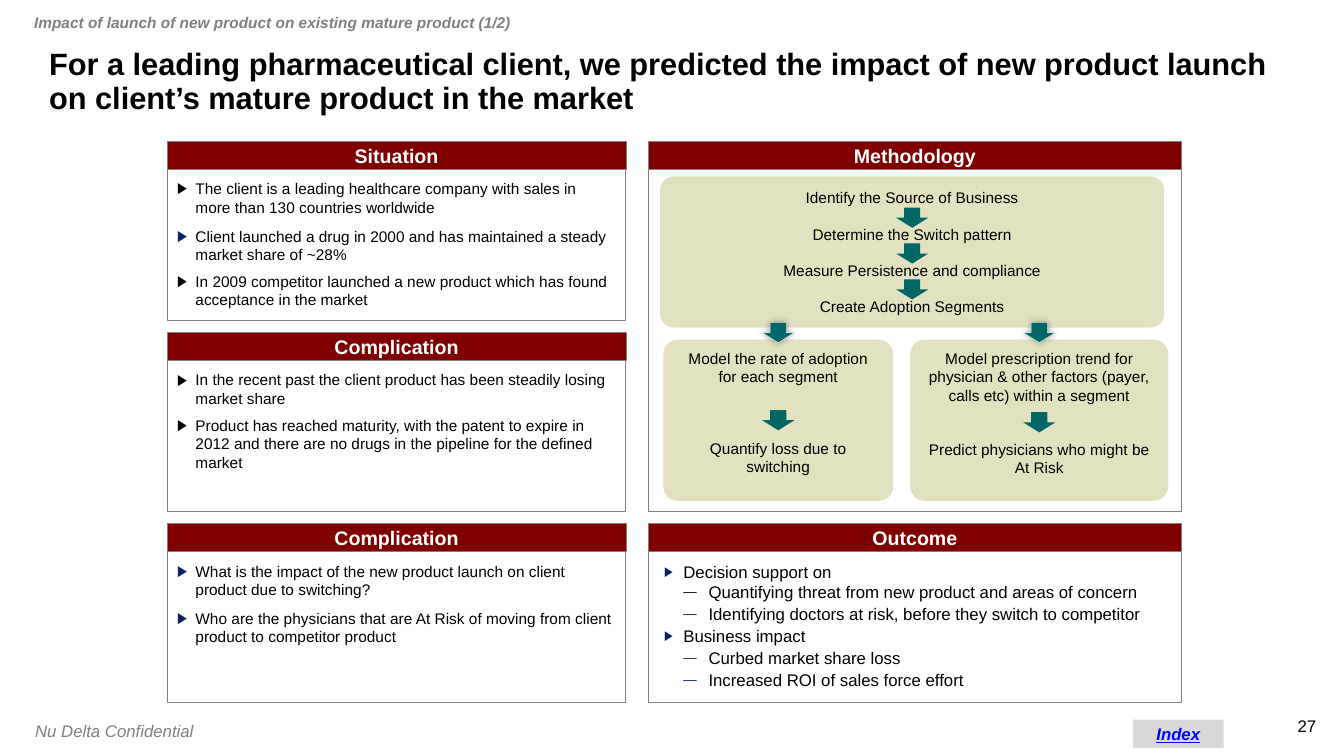
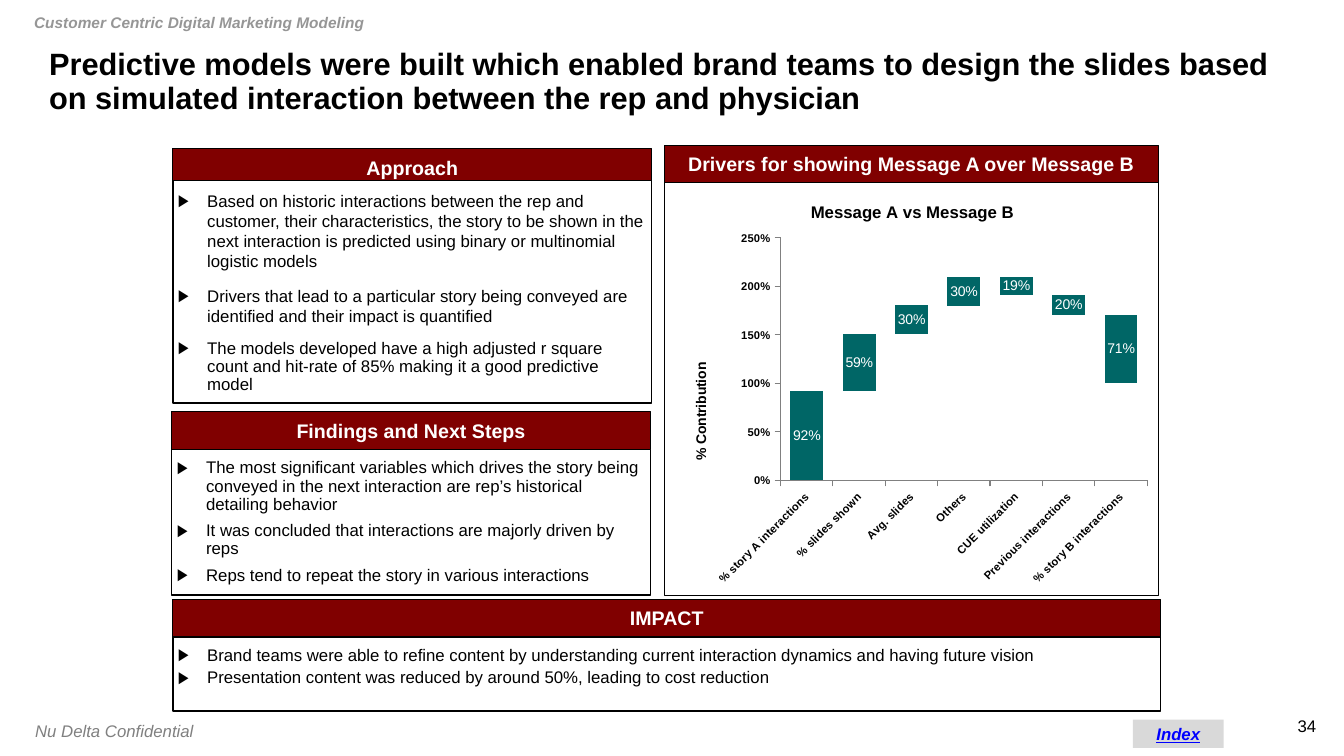
import dataclasses

import lxml.etree
import pptx
import pptx.chart.data
import pptx.dml.color
import pptx.enum.chart
import pptx.enum.shapes
import pptx.enum.text
import pptx.oxml.ns
import pptx.util

Pt = pptx.util.Pt
RGB = pptx.dml.color.RGBColor
KIND = pptx.enum.shapes.MSO_SHAPE
ALIGN = pptx.enum.text.PP_ALIGN
ANCHOR = pptx.enum.text.MSO_ANCHOR
CHART = pptx.enum.chart
qn = pptx.oxml.ns.qn

BLACK = RGB(0x00, 0x00, 0x00)
WHITE = RGB(0xFF, 0xFF, 0xFF)
GREY = RGB(0x80, 0x80, 0x80)
SILVER = RGB(0x96, 0x96, 0x96)
PALE = RGB(0xD9, 0xD9, 0xD9)
MAROON = RGB(0x80, 0x00, 0x00)
NAVY = RGB(0x0B, 0x1F, 0x65)
TEAL = RGB(0x00, 0x66, 0x66)
SAND = RGB(0xE2, 0xE1, 0xC0)
BLUE = RGB(0x00, 0x00, 0xFF)
FONT = "Arial"
LINE = 12.65


@dataclasses.dataclass(frozen=True)
class Look:
    size: float = 11
    left: float = 13
    hang: float = 13
    mark: str = "▶"
    tint: RGB = BLACK
    scale: int = 100
    before: float = 0
    after: float = 0
    pitch: float = 1.0


PLAIN = Look(after=6)
DEEP = dataclasses.replace(PLAIN, tint=NAVY, before=1.3)
TOP = Look(12, 18, 13.7, tint=NAVY, scale=80, before=1.4)
SUB = dataclasses.replace(TOP, left=36, hang=18, mark="—")
FIRST = dataclasses.replace(SUB, tint=BLACK, before=0)
WIDE = Look(12, 20.9, 20.9, before=10)
TIGHT = dataclasses.replace(WIDE, pitch=0.9)
NEAR = dataclasses.replace(TIGHT, before=6)
CLOSE = dataclasses.replace(TIGHT, before=3)


def style(font, size, tint, bold=False, slant=False):
    font.name = FONT
    font.size = Pt(size)
    font.color.rgb = tint
    font.bold = bold
    font.italic = slant


def setup(frame, pad, anchor, wrap):
    frame.margin_left, frame.margin_top, frame.margin_right, frame.margin_bottom = map(Pt, pad)
    frame.vertical_anchor = anchor
    frame.word_wrap = wrap


def line(frame, row, text, align=ALIGN.LEFT):
    para = frame.add_paragraph() if row else frame.paragraphs[0]
    para.text = text
    para.alignment = align
    return para


def shape(slide, kind, box, fill, edge=None, width=0.75):
    item = slide.shapes.add_shape(kind, *map(Pt, box))
    item.shadow.inherit = False
    item.fill.solid()
    item.fill.fore_color.rgb = fill
    if edge is None:
        item.line.fill.background()
    else:
        item.line.color.rgb = edge
        item.line.width = Pt(width)
    return item


def label(slide, box, text, size, tint, bold=False, slant=False, align=ALIGN.LEFT,
          pad=(7.2, 3.6, 7.2, 3.6), anchor=ANCHOR.TOP, wrap=True):
    frame = slide.shapes.add_textbox(*map(Pt, box)).text_frame
    setup(frame, pad, anchor, wrap)
    para = line(frame, 0, text, align)
    style(para.font, size, tint, bold, slant)
    return para


def bullets(frame, items):
    for row, (text, look) in enumerate(items):
        para = line(frame, row, text)
        props = para._p.get_or_add_pPr()
        props.set("marL", str(Pt(look.left)))
        props.set("indent", str(-Pt(look.hang)))
        tint = lxml.etree.SubElement(props, qn("a:buClr"))
        lxml.etree.SubElement(tint, qn("a:srgbClr"), val=str(look.tint))
        lxml.etree.SubElement(props, qn("a:buSzPct"), val=str(look.scale * 1000))
        lxml.etree.SubElement(props, qn("a:buFont"), typeface=FONT)
        lxml.etree.SubElement(props, qn("a:buChar"), char=look.mark)
        if row and look.before:
            para.space_before = Pt(look.before)
        if look.after:
            para.space_after = Pt(look.after)
        para.line_spacing = look.pitch
        style(para.font, look.size, BLACK)


def header(slide, box, text, edge, width):
    frame = shape(slide, KIND.RECTANGLE, box, MAROON, edge, width).text_frame
    setup(frame, (7.2, 3.6, 7.2, 3.6), ANCHOR.MIDDLE, False)
    style(line(frame, 0, text, ALIGN.CENTER).font, 14, WHITE, True)


def panel(slide, box, title, items, head, edge, widths, pad, lap=0):
    x, y, w, h = box
    header(slide, (x, y, w, head), title, edge, widths[0])
    drop = head - lap
    body = shape(slide, KIND.RECTANGLE, (x, y + drop, w, h - drop), WHITE, edge, widths[1])
    setup(body.text_frame, pad, ANCHOR.TOP, True)
    bullets(body.text_frame, items)


def case(slide, box, title, items=()):
    panel(slide, box, title, items, 20.2, GREY, (0.25, 0.75), (7.2,) * 4)


def brief(slide, box, title, items, lap=0):
    panel(slide, box, title, items, 27, BLACK, (0.75, 1), (3.6, 7.2, 3.6, 0), lap)


def base(deck, topic, width, tint, title, number):
    slide = deck.slides.add_slide(deck.slide_layouts[6])
    label(slide, (17.3, 5.8, width, 20.9), topic, 11, tint, True, True, wrap=False)
    para = label(slide, (28, 26, 897, 66), title, 22, BLACK, True, anchor=ANCHOR.MIDDLE)
    para.line_spacing = 0.9
    label(slide, (18, 511, 177, 21.6), "Nu Delta Confidential", 12, GREY, slant=True)
    label(slide, (925, 511, 15.2, 14.4), number, 12, BLACK, align=ALIGN.RIGHT,
          pad=(0,) * 4, wrap=False)
    frame = shape(slide, KIND.RECTANGLE, (809.3, 514, 64.8, 20.2), PALE).text_frame
    setup(frame, (3.6,) * 4, ANCHOR.MIDDLE, False)
    para = line(frame, 0, "Index", ALIGN.CENTER)
    style(para.font, 12, BLUE, True, True)
    para.font.underline = True
    return slide


def arrow(slide, mid, y, glow=False):
    box = (mid - 11.5, y, 23, 14.4)
    item = shape(slide, KIND.DOWN_ARROW, box, TEAL, WHITE if glow else None, 0.25)
    if glow:
        effects = item._element.spPr.find(qn("a:effectLst"))
        shade = lxml.etree.SubElement(effects, qn("a:outerShdw"), blurRad=str(Pt(5)),
                                      dist="0", dir="0", rotWithShape="0")
        tint = lxml.etree.SubElement(shade, qn("a:srgbClr"), val=str(BLACK))
        lxml.etree.SubElement(tint, qn("a:alpha"), val="40000")


def card(slide, box, steps, gap, anchor=ANCHOR.TOP, wrap=True):
    item = shape(slide, KIND.ROUNDED_RECTANGLE, box, SAND)
    item.adjustments[0] = 0.09
    setup(item.text_frame, (7.2, 3.6, 7.2, 3.6), anchor, wrap)
    for row, text in enumerate(steps):
        para = line(item.text_frame, row, text, ALIGN.CENTER)
        if row:
            para.space_before = Pt(gap * LINE)
        style(para.font, 11, BLACK)


def method(slide, box):
    case(slide, box, "Methodology")
    x, y = box[:2]
    card(slide, (x + 8.6, y + 25.2, 360, 108),
         ["Identify the Source of Business", "Determine the Switch pattern",
          "Measure Persistence and compliance", "Create Adoption Segments"],
         1, ANCHOR.MIDDLE, False)
    for step in range(3):
        arrow(slide, x + 188.6, y + 47.5 + 25.6 * step)
    forks = (
        (10.8, 164.2, 3, 192.2, ["Model the rate of adoption for each segment",
                                 "Quantify loss due to switching"]),
        (187.2, 184.3, 2, 193.7, ["Model prescription trend for physician & other factors "
                                  "(payer, calls etc) within a segment",
                                  "Predict physicians who might be At Risk"]),
    )
    for left, width, gap, drop, steps in forks:
        card(slide, (x + left, y + 141.8, width, 115.2), steps, gap)
        mid = x + left + width / 2
        arrow(slide, mid, y + drop)
        arrow(slide, mid, y + 129.6, True)


def launch(deck):
    slide = base(deck, "Impact of launch of new product on existing mature product (1/2)",
                 357, GREY, "For a leading pharmaceutical client, we predicted the impact of new "
                 "product launch on client’s mature product in the market", "27")
    top, step, high = 100.8, 136.5, 128.2
    groups = (
        ("Situation", [
            ("The client is a leading healthcare company with sales in more than 130 "
             "countries worldwide", PLAIN),
            ("Client launched a drug in 2000 and has maintained a steady market share of ~28%", DEEP),
            ("In 2009 competitor launched a new product which has found acceptance in the market",
             PLAIN)]),
        ("Complication", [
            ("In the recent past the client product has been steadily losing market share", PLAIN),
            ("Product has reached maturity, with the patent to expire in 2012 and there are no "
             "drugs in the pipeline for the defined market", PLAIN)]),
        ("Complication", [
            ("What is the impact of the new product launch on client product due to switching?", DEEP),
            ("Who are the physicians that are At Risk of moving from client product to "
             "competitor product", DEEP)]),
    )
    for row, (title, items) in enumerate(groups):
        case(slide, (119.5, top + step * row, 327.6, high), title, items)
    method(slide, (463, top, 381, step + high))
    case(slide, (463, top + 2 * step, 381, high), "Outcome", [
        ("Decision support on", TOP),
        ("Quantifying threat from new product and areas of concern", FIRST),
        ("Identifying doctors at risk, before they switch to competitor", SUB),
        ("Business impact", TOP),
        ("Curbed market share loss", SUB),
        ("Increased ROI of sales force effort", SUB)])


def place(part, **spots):
    for old in part.findall(qn("c:layout")):
        part.remove(old)
    layout = lxml.etree.Element(qn("c:layout"))
    manual = lxml.etree.SubElement(layout, qn("c:manualLayout"))
    if "w" in spots:
        lxml.etree.SubElement(manual, qn("c:layoutTarget"), val="inner")
    for side in "xy":
        lxml.etree.SubElement(manual, qn(f"c:{side}Mode"), val="edge")
    for name, value in spots.items():
        lxml.etree.SubElement(manual, qn(f"c:{name}"), val=str(value))
    part.insert(0 if part.find(qn("c:tx")) is None else 1, layout)


def caption(title, text, size, x, y):
    title.text_frame.text = text
    style(title.text_frame.paragraphs[0].font, size, BLACK, True)
    place(title._element, x=x, y=y)


def drivers(slide, box):
    data = pptx.chart.data.CategoryChartData()
    data.categories = ["% story A interactions", "% slides shown", "Avg. slides", "Others",
                       "CUE utilization", "Previous interactions", "% story B interactions"]
    data.add_series("Series 1", (0, 0.92, 1.51, 1.8, 1.91, 1.71, 1))
    data.add_series("Series 2", (0.92, 0.59, 0.3, 0.3, 0.19, 0.2, 0.71))
    chart = slide.shapes.add_chart(CHART.XL_CHART_TYPE.COLUMN_STACKED, *map(Pt, box), data).chart
    style(chart.font, 10, BLACK)
    chart.has_legend = False
    chart.has_title = True
    caption(chart.chart_title, "Message A vs Message B", 12, 0.29, 0.04)
    root = chart._chartSpace
    place(root.find(qn("c:chart")).find(qn("c:plotArea")), x=0.235, y=0.134, w=0.743, h=0.588)
    props = lxml.etree.Element(qn("c:spPr"))
    lxml.etree.SubElement(props, qn("a:noFill"))
    edge = lxml.etree.SubElement(props, qn("a:ln"), w=str(Pt(0.5)))
    fill = lxml.etree.SubElement(edge, qn("a:solidFill"))
    lxml.etree.SubElement(fill, qn("a:srgbClr"), val=str(BLACK))
    root.find(qn("c:chart")).addnext(props)

    plot = chart.plots[0]
    plot.gap_width = 59
    plot.overlap = 100
    plot.vary_by_categories = False
    rest, bars = plot.series
    rest.format.fill.background()
    bars.format.fill.solid()
    bars.format.fill.fore_color.rgb = TEAL
    marks = bars.data_labels
    marks.show_value = True
    marks.number_format = "0%"
    marks.number_format_is_linked = False
    marks.position = CHART.XL_LABEL_POSITION.CENTER
    style(marks.font, 10, WHITE)

    cats, vals = chart.category_axis, chart.value_axis
    for axis in (cats, vals):
        axis.has_major_gridlines = False
        axis.major_tick_mark = CHART.XL_TICK_MARK.OUTSIDE
        axis.format.line.color.rgb = GREY
        style(axis.tick_labels.font, 8, BLACK, True)
    cats._element.find(qn("c:txPr")).find(qn("a:bodyPr")).set("rot", "-2700000")
    vals.minimum_scale = 0
    vals.maximum_scale = 2.5
    vals.major_unit = 0.5
    vals.tick_labels.number_format = "0%"
    vals.tick_labels.number_format_is_linked = False
    caption(vals.axis_title, "% Contribution", 10, 0.05, 0.43)
    turn = vals.axis_title.text_frame._txBody.find(qn("a:bodyPr"))
    turn.set("rot", "-5400000")
    turn.set("vert", "horz")


def digital(deck):
    slide = base(deck, "Customer Centric Digital Marketing Modeling", 255, SILVER,
                 "Predictive models were built which enabled brand teams to design the slides "
                 "based on simulated interaction between the rep and physician", "34")
    brief(slide, (123.5, 106, 342, 182), "Approach", [
        ("Based on historic interactions between the rep and customer, their characteristics, "
         "the story to be shown in the next interaction is predicted using binary or "
         "multinomial logistic models", WIDE),
        ("Drivers that lead to a particular story being conveyed are identified and their "
         "impact is quantified", WIDE),
        ("The models developed have a high adjusted r square count and hit-rate of 85% "
         "making it a good predictive model", TIGHT)], 4)
    brief(slide, (122.7, 294, 342, 131), "Findings and Next Steps", [
        ("The most significant variables which drives the story being conveyed in the next "
         "interaction are rep’s historical detailing behavior", NEAR),
        ("It was concluded that interactions are majorly driven by reps", NEAR),
        ("Reps tend to repeat the story in various interactions", NEAR)])
    header(slide, (474.5, 103.7, 353, 26.6), "Drivers for showing Message A over Message B",
           BLACK, 0.75)
    drivers(slide, (474.5, 130.3, 353, 295))
    brief(slide, (123.5, 428, 705.6, 80), "IMPACT", [
        ("Brand teams were able to refine content by understanding current interaction "
         "dynamics and having future vision", CLOSE),
        ("Presentation content was reduced by around 50%, leading to cost reduction", CLOSE)])


def main():
    deck = pptx.Presentation()
    deck.slide_width, deck.slide_height = Pt(960), Pt(540)
    launch(deck)
    digital(deck)
    deck.save("out.pptx")


if __name__ == "__main__":
    main()
